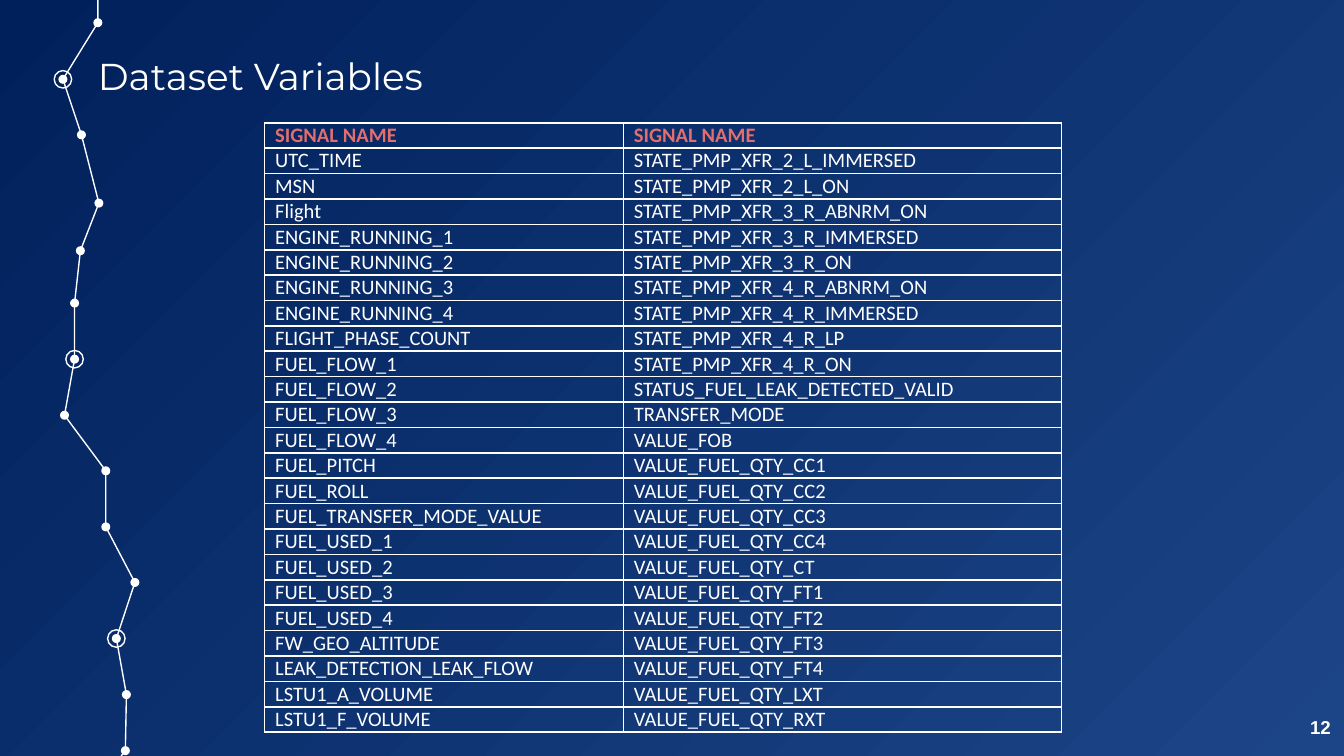
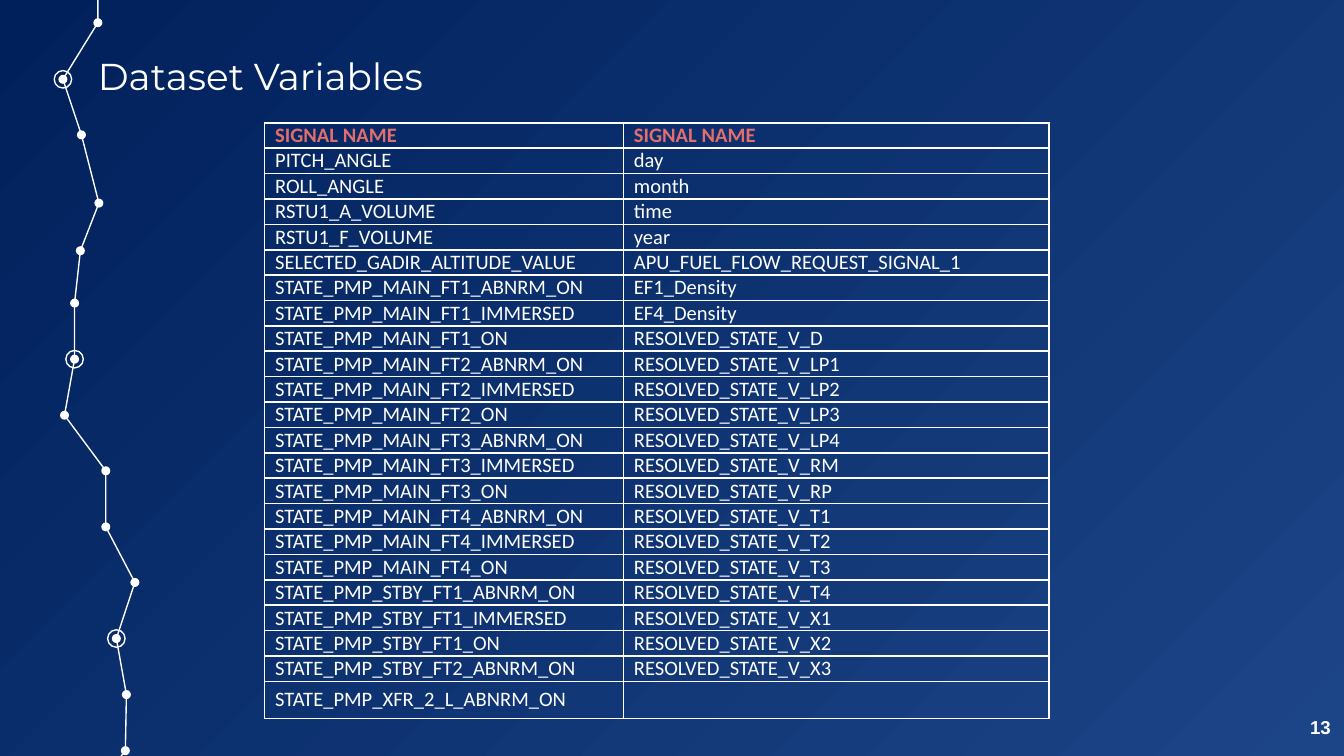
from itertools import zip_longest

from lxml import etree
from pptx import Presentation
from pptx import util as u
from pptx.dml.color import RGBColor
from pptx.enum import shapes, text
from pptx.oxml import ns

COLOURS = {"white": "FFFFFF", "header": "E26E6E", "navy": "00205B", "blue": "1C4587"}
SLIDE_WIDTH, SLIDE_HEIGHT = 25.4, 14.29
ROW_HEIGHT = 0.48

# Nodes of the side trail, from top to bottom, in centimetres
UPPER_NODES = [(1.85, 0.43), (1.19, 1.5), (1.54, 2.55), (1.87, 3.84)]
LOWER_NODES = [(1.52, 4.74), (1.41, 5.73), (1.41, 6.79), (1.22, 7.85), (2, 8.9),
               (2, 9.96), (2.55, 11.01), (2.2, 12.07), (2.39, 13.13), (2.37, 14.19)]
RINGED_NODES = [UPPER_NODES[1], LOWER_NODES[2], LOWER_NODES[7]]
TRAIL_TOP, TRAIL_BOTTOM = (1.85, 0), (2.29, SLIDE_HEIGHT)

FLIGHT_SIGNALS = """
    UTC_TIME MSN Flight
    ENGINE_RUNNING_1 ENGINE_RUNNING_2 ENGINE_RUNNING_3 ENGINE_RUNNING_4
    FLIGHT_PHASE_COUNT FUEL_FLOW_1 FUEL_FLOW_2 FUEL_FLOW_3 FUEL_FLOW_4
    FUEL_PITCH FUEL_ROLL FUEL_TRANSFER_MODE_VALUE
    FUEL_USED_1 FUEL_USED_2 FUEL_USED_3 FUEL_USED_4
    FW_GEO_ALTITUDE LEAK_DETECTION_LEAK_FLOW LSTU1_A_VOLUME LSTU1_F_VOLUME
""".split()
TRANSFER_SIGNALS = """
    STATE_PMP_XFR_2_L_IMMERSED STATE_PMP_XFR_2_L_ON
    STATE_PMP_XFR_3_R_ABNRM_ON STATE_PMP_XFR_3_R_IMMERSED STATE_PMP_XFR_3_R_ON
    STATE_PMP_XFR_4_R_ABNRM_ON STATE_PMP_XFR_4_R_IMMERSED
    STATE_PMP_XFR_4_R_LP STATE_PMP_XFR_4_R_ON
    STATUS_FUEL_LEAK_DETECTED_VALID TRANSFER_MODE VALUE_FOB
    VALUE_FUEL_QTY_CC1 VALUE_FUEL_QTY_CC2 VALUE_FUEL_QTY_CC3 VALUE_FUEL_QTY_CC4
    VALUE_FUEL_QTY_CT VALUE_FUEL_QTY_FT1 VALUE_FUEL_QTY_FT2 VALUE_FUEL_QTY_FT3
    VALUE_FUEL_QTY_FT4 VALUE_FUEL_QTY_LXT VALUE_FUEL_QTY_RXT
""".split()
PUMP_SIGNALS = """
    PITCH_ANGLE ROLL_ANGLE RSTU1_A_VOLUME RSTU1_F_VOLUME
    SELECTED_GADIR_ALTITUDE_VALUE
    STATE_PMP_MAIN_FT1_ABNRM_ON STATE_PMP_MAIN_FT1_IMMERSED STATE_PMP_MAIN_FT1_ON
    STATE_PMP_MAIN_FT2_ABNRM_ON STATE_PMP_MAIN_FT2_IMMERSED STATE_PMP_MAIN_FT2_ON
    STATE_PMP_MAIN_FT3_ABNRM_ON STATE_PMP_MAIN_FT3_IMMERSED STATE_PMP_MAIN_FT3_ON
    STATE_PMP_MAIN_FT4_ABNRM_ON STATE_PMP_MAIN_FT4_IMMERSED STATE_PMP_MAIN_FT4_ON
    STATE_PMP_STBY_FT1_ABNRM_ON STATE_PMP_STBY_FT1_IMMERSED STATE_PMP_STBY_FT1_ON
    STATE_PMP_STBY_FT2_ABNRM_ON STATE_PMP_XFR_2_L_ABNRM_ON
""".split()
RESOLVED_SIGNALS = """
    day month time year APU_FUEL_FLOW_REQUEST_SIGNAL_1 EF1_Density EF4_Density
    RESOLVED_STATE_V_D RESOLVED_STATE_V_LP1 RESOLVED_STATE_V_LP2
    RESOLVED_STATE_V_LP3 RESOLVED_STATE_V_LP4 RESOLVED_STATE_V_RM
    RESOLVED_STATE_V_RP RESOLVED_STATE_V_T1 RESOLVED_STATE_V_T2
    RESOLVED_STATE_V_T3 RESOLVED_STATE_V_T4 RESOLVED_STATE_V_X1
    RESOLVED_STATE_V_X2 RESOLVED_STATE_V_X3
""".split()


def colour(name):
    return RGBColor.from_string(COLOURS[name])


def add_borders(cell):
    properties = cell._tc.get_or_add_tcPr()
    for position, side in enumerate(("lnL", "lnR", "lnT", "lnB")):
        border = etree.Element(ns.qn(f"a:{side}"), w=str(u.Pt(1)))
        fill = etree.SubElement(border, ns.qn("a:solidFill"))
        etree.SubElement(fill, ns.qn("a:srgbClr"), val=COLOURS["white"])
        properties.insert(position, border)


class Deck:
    def __init__(self):
        self.presentation = Presentation()
        self.presentation.slide_width = u.Cm(SLIDE_WIDTH)
        self.presentation.slide_height = u.Cm(SLIDE_HEIGHT)
        self.slide = None

    def start_slide(self, title, number):
        self.slide = self.presentation.slides.add_slide(self.presentation.slide_layouts[6])
        self.background()
        self.trail()
        self.label(title, (1.6, 0.03, 23.7, 2.54), "Montserrat", 20, bottom=0)
        self.label(str(number), (23.77, 13.19, 1.63, 1.1), "Arial", 10, bold=True,
                   align=text.PP_ALIGN.RIGHT)

    def background(self):
        """Gradient that spreads from the top left corner."""
        fill = self.slide.background.fill
        fill.gradient()
        for stop, name in zip(fill.gradient_stops, ("navy", "blue")):
            stop.color.rgb = colour(name)
        linear = self.slide._element.find(".//" + ns.qn("a:lin"))
        spread = etree.Element(ns.qn("a:path"), path="circle")
        etree.SubElement(spread, ns.qn("a:fillToRect"), r="100000", b="100000")
        linear.getparent().replace(linear, spread)

    def trail(self):
        self.polyline([TRAIL_TOP, *UPPER_NODES])
        self.polyline([UPPER_NODES[-1], *LOWER_NODES, TRAIL_BOTTOM])
        for node in RINGED_NODES:
            self.circle(node, 0.33, filled=False)
        for node in UPPER_NODES + LOWER_NODES:
            self.circle(node, 0.17, filled=True)

    def polyline(self, nodes):
        start, *rest = [(u.Cm(x), u.Cm(y)) for x, y in nodes]
        builder = self.slide.shapes.build_freeform(*start)
        builder.add_line_segments(rest, close=False)
        self.outline(builder.convert_to_shape())

    def circle(self, centre, diameter, filled):
        left, top = (u.Cm(c - diameter / 2) for c in centre)
        circle = self.slide.shapes.add_shape(
            shapes.MSO_SHAPE.OVAL, left, top, u.Cm(diameter), u.Cm(diameter))
        if filled:
            circle.shadow.inherit = False
            circle.fill.solid()
            circle.fill.fore_color.rgb = colour("white")
            circle.line.fill.background()
        else:
            self.outline(circle)

    def outline(self, shape):
        shape.shadow.inherit = False
        shape.fill.background()
        shape.line.color.rgb = colour("white")
        shape.line.width = u.Pt(0.75)

    def style(self, paragraph, font, size, bold=False, shade="white"):
        paragraph.font.name = font
        paragraph.font.size = u.Pt(size)
        paragraph.font.bold = bold
        paragraph.font.color.rgb = colour(shade)

    def label(self, words, box, font, size, bold=False, align=None, bottom=0.25):
        frame = self.slide.shapes.add_textbox(*map(u.Cm, box)).text_frame
        frame.word_wrap = True
        frame.vertical_anchor = text.MSO_ANCHOR.MIDDLE
        frame.margin_left = frame.margin_right = frame.margin_top = u.Cm(0.25)
        frame.margin_bottom = u.Cm(bottom)
        paragraph = frame.paragraphs[0]
        paragraph.text = words
        paragraph.alignment = align
        self.style(paragraph, font, size, bold)

    def signal_table(self, columns, widths, last_row=ROW_HEIGHT):
        rows = [("SIGNAL NAME",) * len(columns), *zip_longest(*columns, fillvalue="")]
        table = self.slide.shapes.add_table(
            len(rows), len(columns), u.Cm(5), u.Cm(2.32),
            u.Cm(sum(widths)), u.Cm(ROW_HEIGHT * len(rows))).table
        table.first_row = table.horz_banding = False
        for column, width in zip(table.columns, widths):
            column.width = u.Cm(width)
        for row in table.rows:
            row.height = u.Cm(ROW_HEIGHT)
        table.rows[len(rows) - 1].height = u.Cm(last_row)
        for r, signals in enumerate(rows):
            for c, signal in enumerate(signals):
                self.signal_cell(table.cell(r, c), signal, header=r == 0)

    def signal_cell(self, cell, signal, header):
        cell.fill.background()
        cell.vertical_anchor = text.MSO_ANCHOR.MIDDLE
        cell.margin_left = cell.margin_right = u.Cm(0.2)
        cell.margin_top = cell.margin_bottom = 0
        add_borders(cell)
        paragraph = cell.text_frame.paragraphs[0]
        paragraph.text = signal
        self.style(paragraph, "Calibri", 11, header, "header" if header else "white")


def main():
    deck = Deck()
    deck.start_slide("Dataset Variables", 12)
    deck.signal_table([FLIGHT_SIGNALS, TRANSFER_SIGNALS], [6.78, 8.28])
    deck.start_slide("Dataset Variables", 13)
    deck.signal_table([PUMP_SIGNALS, RESOLVED_SIGNALS], [6.78, 8.05], last_row=0.7)
    deck.presentation.save("out.pptx")


if __name__ == "__main__":
    main()
